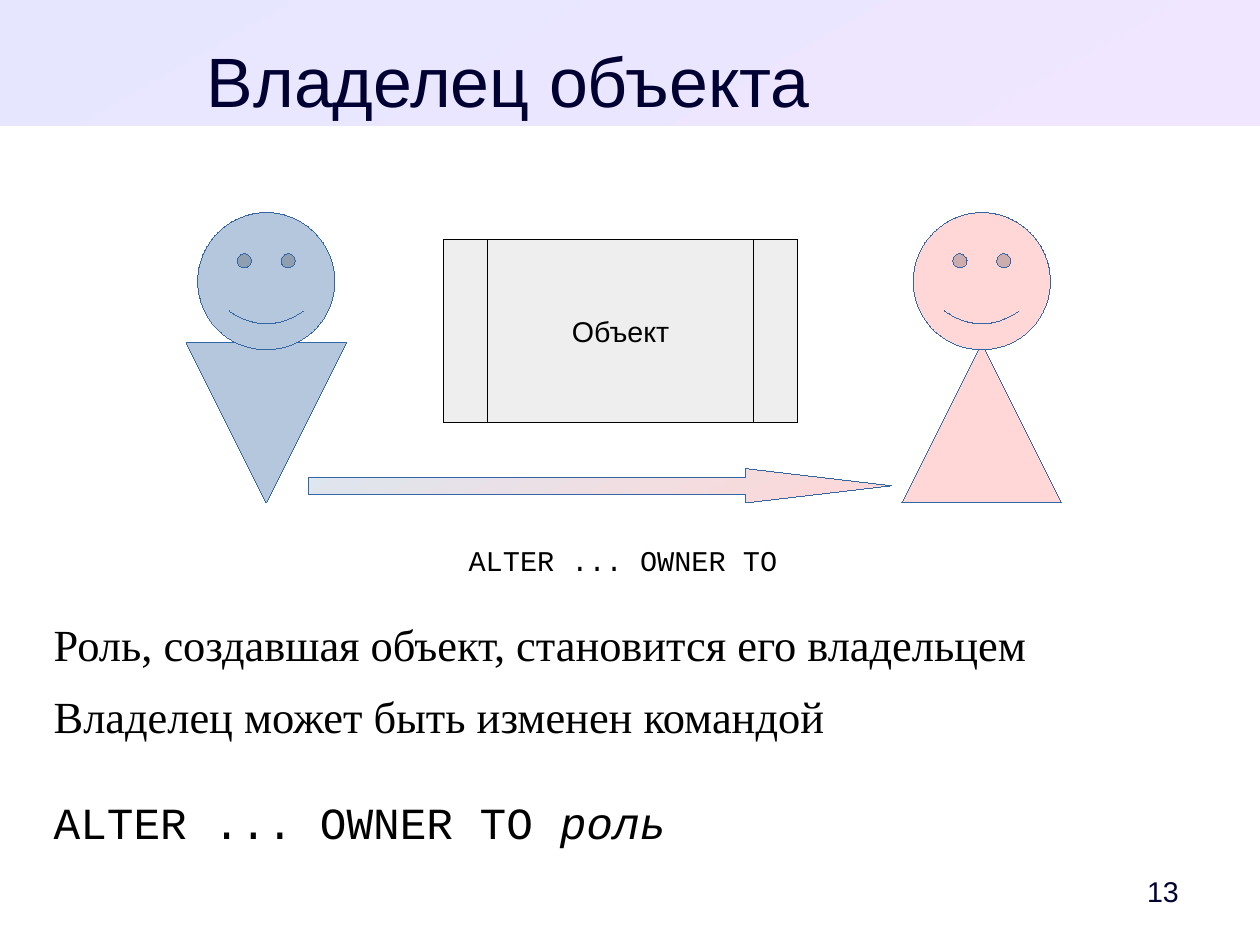
"""Build the slide about the owner of a database object."""
from lxml import etree
from pptx import Presentation, util as u
from pptx.dml.color import RGBColor
from pptx.enum import shapes as sh, text as tx

NAVY = RGBColor(0x00, 0x00, 0x33)
BLACK = RGBColor(0x00, 0x00, 0x00)
GREY = RGBColor(0xEE, 0xEE, 0xEE)
BLUE = RGBColor(0xB4, 0xC7, 0xDC)
PINK = RGBColor(0xFF, 0xD7, 0xD7)
EDGE = RGBColor(0x34, 0x65, 0xA4)
PALE = RGBColor(0xDE, 0xE6, 0xEF)
LILAC = RGBColor(0xE6, 0xE6, 0xFF)
ROSE = RGBColor(0xF0, 0xE6, 0xFF)
CELL = u.Inches(0.1)
HAIR = u.Emu(1)
KIND = sh.MSO_SHAPE
LEFT, MID = tx.PP_ALIGN.LEFT, tx.PP_ALIGN.CENTER
TOP, HALF = tx.MSO_ANCHOR.TOP, tx.MSO_ANCHOR.MIDDLE

deck = Presentation()
deck.slide_width, deck.slide_height = u.Cm(28), u.Cm(21)
slide = deck.slides.add_slide(deck.slide_layouts[1])


def draw(kind, grid, fill, edge=None, adj=()):
    """Add a preset shape on the grid; a pair of colours makes a gradient."""
    form = slide.shapes.add_shape(kind, *[int(n * CELL) for n in grid])
    form.shadow.inherit = False
    if isinstance(fill, list):
        form.fill.gradient()
        form.fill.gradient_angle = 300
        for stop, tint, place in zip(form.fill.gradient_stops, fill, (0, 1)):
            stop.color.rgb, stop.position = tint, place
    else:
        form.fill.solid()
        form.fill.fore_color.rgb = fill
    if edge is None:
        form.line.fill.background()
    else:
        form.line.color.rgb, form.line.width = edge, HAIR
    for i, share in enumerate(adj):
        form.adjustments[i] = share
    return form


def write(form, lines, align, size, tint, pad, **frame):
    """Fill a shape with paragraphs of (text, font, italic) runs."""
    box = form.text_frame
    look = dict(word_wrap=True, vertical_anchor=TOP)
    sides = ("margin_left", "margin_top", "margin_right", "margin_bottom")
    look.update(zip(sides, [u.Inches(n) for n in pad]))
    look.update(frame)
    for key, val in look.items():
        setattr(box, key, val)
    for i, runs in enumerate(lines):
        para = box.add_paragraph() if i else box.paragraphs[0]
        para.alignment = align
        for words, name, slant in runs:
            run = para.add_run()
            run.text = words
            style = dict(name=name, size=u.Pt(size), italic=slant)
            for key, val in style.items():
                setattr(run.font, key, val)
            run.font.color.rgb = tint
    return box.paragraphs


title, body = slide.placeholders
band = draw(KIND.RECTANGLE, (0, 0, 110.24, 11), [LILAC, ROSE]).element
band.getparent().insert(2, band)
for hold, grid in ((title, (5.5, 3.3, 78, 6.8)), (body, (4.7, 54, 100.8, 21.6))):
    hold.left, hold.top, hold.width, hold.height = [int(n * CELL) for n in grid]

write(title, [[("Владелец объекта", "Arial", False)]], MID, 44, NAVY,
      (0, 0, 0, 0), auto_size=tx.MSO_AUTO_SIZE.NONE)

serif, mono = "Times New Roman", "Courier New"
lines = [
    [("Роль, создавшая объект, становится его владельцем", serif, False)],
    [("Владелец может быть изменен командой", serif, False)],
    [("ALTER ... OWNER TO ", mono, False), ("роль", mono, True)],
]
paras = write(body, lines, LEFT, 28, BLACK, (0, 0, 0, 0),
              auto_size=tx.MSO_AUTO_SIZE.NONE)
for para, before in zip(paras, (0, 0, 22)):
    para.space_before, para.space_after = u.Pt(before), u.Pt(11.3)
    props = para._p.get_or_add_pPr()
    props.set("marL", "0")
    props.set("indent", "0")
    etree.SubElement(props, "{http://schemas.openxmlformats.org/drawingml/2006/main}buNone")

thing = draw(KIND.FLOWCHART_PREDEFINED_PROCESS, (38.8, 21, 31, 16), GREY, BLACK)
write(thing, [[("Объект", "Arial", False)]], MID, 18, BLACK,
      (0.1, 0.05, 0.1, 0.05), word_wrap=False, vertical_anchor=HALF)

for left, tint, turn in ((16.3, BLUE, True), (78.9, PINK, False)):
    torso = draw(KIND.ISOSCELES_TRIANGLE, (left, 30, 14, 14), tint, EDGE, [0.5])
    if turn:
        torso._element.spPr.xfrm.set("flipV", "1")
    draw(KIND.SMILEY_FACE, (left + 1, 18.6, 12, 12), tint, EDGE, [0.093])

draw(KIND.RIGHT_ARROW, (27, 41, 51, 3), [PALE, PINK], EDGE, [0.5, 4.25])

labels = (
    ((37, 47, 35, 4), "ALTER ... OWNER TO", mono, BLACK, 0.1, TOP),
    ((96.9, 75.6, 8.7, 4.7), "13", "Arial", NAVY, 0, HALF),
)
for grid, words, name, tint, edge, anchor in labels:
    label = slide.shapes.add_textbox(*[int(n * CELL) for n in grid])
    write(label, [[(words, name, False)]], MID, 18, tint,
          (0.1, 0.05, edge, 0.05), vertical_anchor=anchor)

deck.save("out.pptx")
